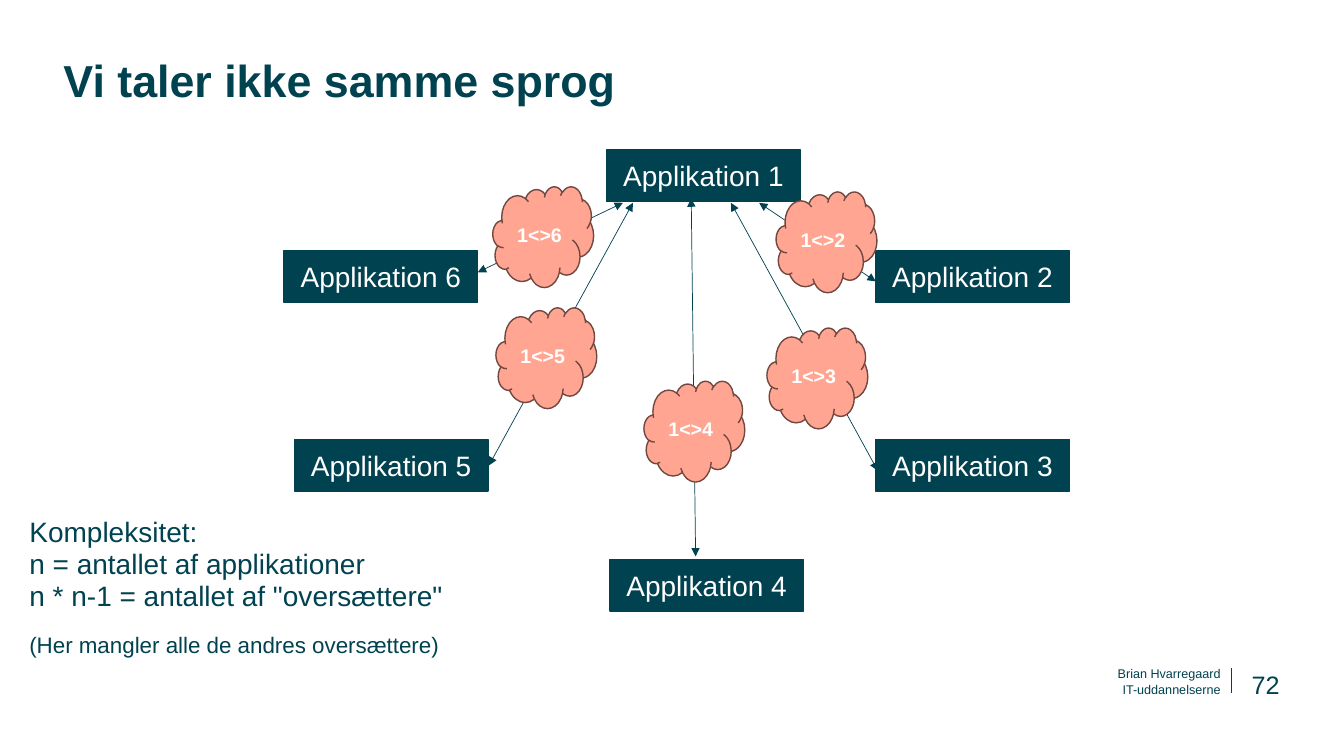
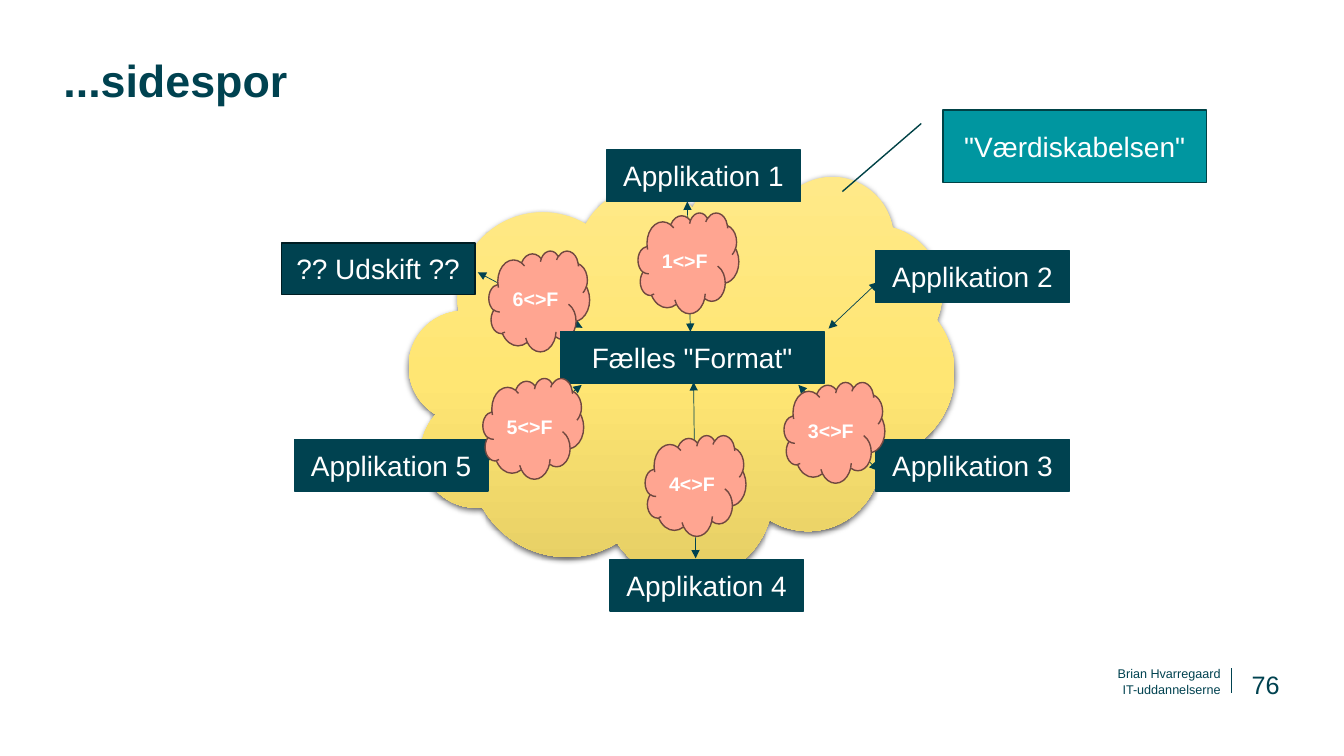
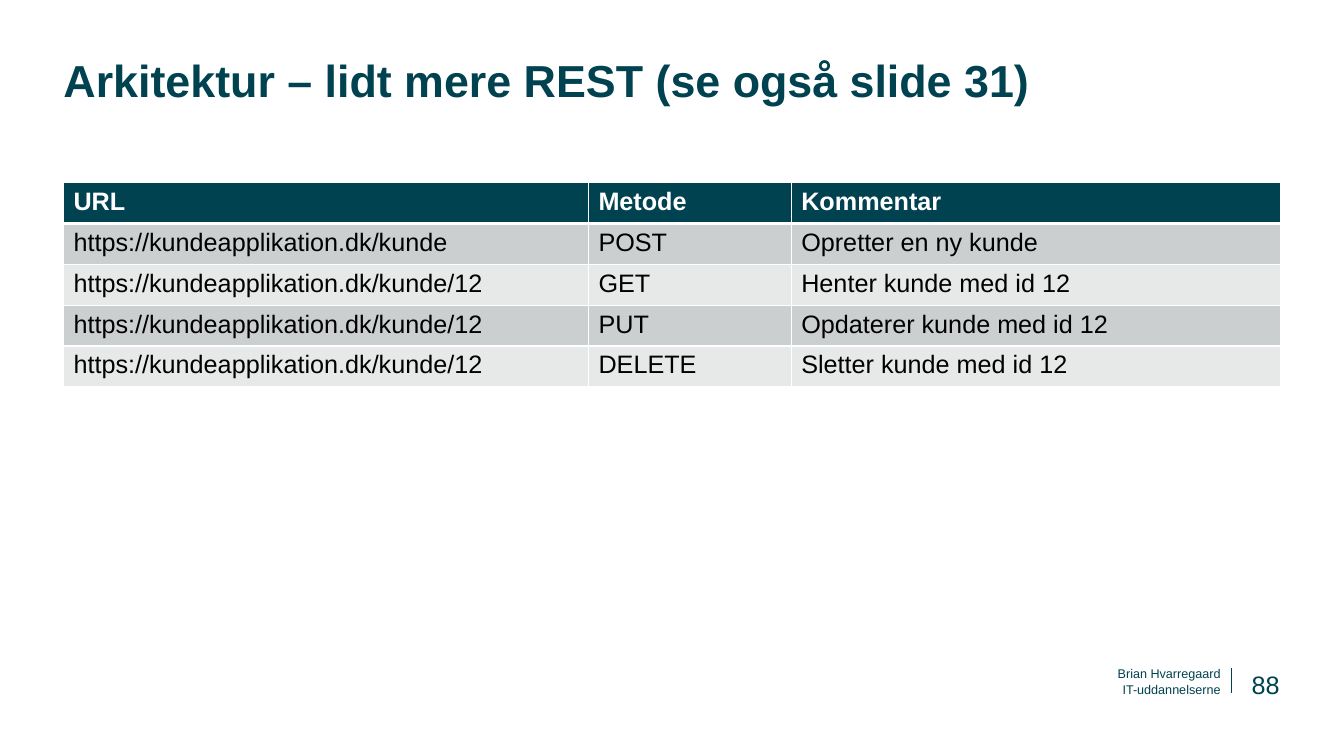
from pptx import Presentation
from pptx.dml.color import RGBColor
from pptx.enum.shapes import MSO_CONNECTOR, MSO_SHAPE
from pptx.enum.text import MSO_ANCHOR, PP_ALIGN
from pptx.oxml import parse_xml
from pptx.oxml.ns import nsdecls, qn
from pptx.util import Cm, Pt

RECT, CLOUD, CALLOUT = MSO_SHAPE.RECTANGLE, MSO_SHAPE.CLOUD, MSO_SHAPE.LINE_CALLOUT_1
STRAIGHT = MSO_CONNECTOR.STRAIGHT
TOP, MIDDLE, BOTTOM = MSO_ANCHOR.TOP, MSO_ANCHOR.MIDDLE, MSO_ANCHOR.BOTTOM
LEFT, CENTER, RIGHT = PP_ALIGN.LEFT, PP_ALIGN.CENTER, PP_ALIGN.RIGHT

# Colours
PETROL = RGBColor(0x00, 0x42, 0x50)
NIGHT = RGBColor(0x00, 0x1D, 0x23)
TEAL = RGBColor(0x00, 0x96, 0xA0)
PINE = RGBColor(0x00, 0x42, 0x46)
CORAL = RGBColor(0xFF, 0xA5, 0x91)
BROWN = RGBColor(0x70, 0x48, 0x40)
WHITE = RGBColor(0xFF, 0xFF, 0xFF)
BLACK = RGBColor(0x00, 0x00, 0x00)
BANDS = [RGBColor(0xE7, 0xE9, 0xE9), RGBColor(0xCC, 0xCF, 0xD0)]

# Text styles: font, paragraph and frame values
STYLES = {
    "title": ({"size": Pt(32), "bold": True}, PETROL, {"line_spacing": 0.88}, TOP),
    "foot": ({"size": Pt(9)}, PETROL, {"alignment": RIGHT}, BOTTOM),
    "page": ({"size": Pt(18)}, PETROL, {"alignment": RIGHT}, BOTTOM),
    "note": ({"size": Pt(20)}, PETROL, {"line_spacing": 0.95, "space_after": Pt(14.2)}, TOP),
    "app": ({"size": Pt(20)}, WHITE, {"alignment": CENTER}, MIDDLE),
    "cloud": ({"size": Pt(14), "bold": True}, WHITE, {"alignment": CENTER}, MIDDLE),
}


def put(slide, at, text, style, kind=None, fill=None, edge=None):
    """Add a text box, or a filled shape when a kind is given."""
    at = [Cm(v) for v in at]
    if kind is None:
        shape, pads = slide.shapes.add_textbox(*at), (0, 0)
    else:
        shape, pads = slide.shapes.add_shape(kind, *at), (0.2, 0.1)
        shape.shadow.inherit = False
        shape.fill.solid()
        shape.fill.fore_color.rgb = fill
        shape.line.color.rgb = edge
        shape.line.width = Pt(1)
    font, color, para, anchor = STYLES[style]
    frame = shape.text_frame
    frame.text = text
    frame.word_wrap = True
    frame.vertical_anchor = anchor
    frame.margin_left = frame.margin_right = Cm(pads[0])
    frame.margin_top = frame.margin_bottom = Cm(pads[1])
    for p in frame.paragraphs:
        for key, value in para.items():
            setattr(p, key, value)
        for run in p.runs:
            run.font.name = "Arial"
            run.font.color.rgb = color
            for key, value in font.items():
                setattr(run.font, key, value)
    return shape


def link(slide, ends, heads=True):
    """Add a thin line, with an arrowhead at both ends by default."""
    line = slide.shapes.add_connector(STRAIGHT, *[Cm(v) for v in ends])
    line.line.color.rgb = PETROL
    line.line.width = Pt(0.5)
    for tag in ("headEnd", "tailEnd") if heads else ():
        line.line._get_or_add_ln().append(
            parse_xml(f'<a:{tag} {nsdecls("a")} type="triangle"/>'))
    line._element.spPr.append(parse_xml(f'<a:effectLst {nsdecls("a")}/>'))


deck = Presentation()
deck.slide_width, deck.slide_height = Cm(33.87), Cm(19.05)

# Shared title, footer and page number
TITLES = [
    ("Vi taler ikke samme sprog", "72"),
    ("...sidespor", "76"),
    ("Arkitektur – lidt mere REST (se også slide 31)", "88"),
]
slides = []
for title, page in TITLES:
    slide = deck.slides.add_slide(deck.slide_layouts[6])
    slides.append(slide)
    link(slide, (31.04, 16.84, 31.04, 17.45), heads=False)
    put(slide, (20.09, 16.74, 10.67, 0.41), "Brian Hvarregaard", "foot")
    put(slide, (20.09, 17.15, 10.67, 0.41), "IT-uddannelserne", "foot")
    put(slide, (1.6, 1.5, 30.68, 2.54), title, "title")
    put(slide, (31.06, 16.18, 1.19, 1.45), page, "page")
mesh, hub, rest = slides

# Value cloud behind the hub diagram
value = hub.shapes.add_shape(CLOUD, Cm(10.31), Cm(4.42), Cm(13.74), Cm(10.19))
value.shadow.inherit = False
value.line.fill.background()
stops = "".join(
    f'<a:gs pos="{pos}000"><a:srgbClr val="{tone}"/></a:gs>'
    for pos, tone in ((0, "FFE988"), (50, "FFE673"), (100, "E5CE64")))
props = value._element.spPr
props.insert(2, parse_xml(
    f'<a:gradFill {nsdecls("a")} rotWithShape="1"><a:gsLst>{stops}</a:gsLst>'
    '<a:lin ang="5400000" scaled="0"/></a:gradFill>'))
props.find(qn("a:effectLst")).append(parse_xml(
    f'<a:outerShdw {nsdecls("a")} blurRad="57150" dist="19050" dir="5400000"'
    ' algn="ctr" rotWithShape="0"><a:srgbClr val="000000">'
    '<a:alpha val="63000"/></a:srgbClr></a:outerShdw>'))

# Applications
APP = (4.88, 1.3)
SPOTS = {5: (7.42, 11.07), 4: (15.37, 14.1), 3: (22.07, 11.07),
         2: (22.07, 6.32), 1: (15.29, 3.78)}
put(mesh, (7.16, 6.32, *APP), "Applikation 6", "app", RECT, PETROL, PETROL)
put(hub, (7.09, 6.12, *APP), "?? Udskift ??", "app", RECT, PETROL, NIGHT)
for slide in (mesh, hub):
    for num, spot in SPOTS.items():
        put(slide, (*spot, *APP), f"Applikation {num}", "app", RECT, PETROL, PETROL)

# Arrows
LINKS = [
    (mesh, [(19.13, 5.11, 22.07, 7.09), (18.42, 5.11, 22.12, 11.86),
            (17.42, 5, 17.53, 14.02), (15.95, 5.11, 12.32, 11.73),
            (15.7, 5.11, 12.04, 6.86)]),
    (hub, [(20.88, 8.28, 22.12, 7.11), (20.12, 9.7, 22.12, 11.86),
           (17.48, 9.63, 17.53, 14.07), (17.32, 5.08, 17.4, 8.36),
           (14.68, 8.26, 12.04, 6.86), (14.66, 9.7, 12.27, 11.61)]),
]
for slide, lines in LINKS:
    for ends in lines:
        link(slide, ends)

# Translator clouds; the shared format lies below the last one
CLOUDS = [
    (mesh, "1<>2", 19.56, 4.83), (mesh, "1<>3", 19.33, 8.26),
    (mesh, "1<>4", 16.23, 9.6), (mesh, "1<>5", 12.5, 7.75),
    (mesh, "1<>6", 12.42, 4.7),
    (hub, "1<>F", 16.08, 5.36), (hub, "4<>F", 16.26, 10.97),
    (hub, "6<>F", 12.32, 6.32), (hub, "3<>F", 19.76, 9.63),
    (hub, "5<>F", 12.17, 9.53),
]
for slide, text, x, y in CLOUDS:
    if text == "5<>F":
        put(hub, (14.12, 8.36, 6.65, 1.3), 'Fælles "Format"', "app", RECT, PETROL, PETROL)
    put(slide, (x, y, 2.54, 2.54), text, "cloud", CLOUD, CORAL, BROWN)

# Complexity note and callout
note = put(mesh, (0.74, 13.03, 12.37, 3.58),
           'Kompleksitet:\vn = antallet af applikationer\v'
           'n * n-1 = antallet af "oversættere"\n'
           "(Her mangler alle de andres oversættere)", "note")
note.text_frame.paragraphs[1].runs[0].font.size = Pt(16)
put(hub, (23.77, 2.77, 6.63, 1.83), '"Værdiskabelsen"', "app", CALLOUT, TEAL, PINE)

# REST table
SITE = "https://kundeapplikation.dk/kunde"
ROWS = [
    ("URL", "Metode", "Kommentar"),
    (SITE, "POST", "Opretter en ny kunde"),
    (SITE + "/12", "GET", "Henter kunde med id 12"),
    (SITE + "/12", "PUT", "Opdaterer kunde med id 12"),
    (SITE + "/12", "DELETE", "Sletter kunde med id 12"),
]
WIDTHS = (13.23, 5.11, 12.34)
HIGH = 1.03
table = rest.shapes.add_table(len(ROWS), len(WIDTHS), Cm(1.6), Cm(4.6),
                              Cm(sum(WIDTHS)), Cm(HIGH * len(ROWS))).table
for col, width in zip(table.columns, WIDTHS):
    col.width = Cm(width)
for r, row in enumerate(ROWS):
    table.rows[r].height = Cm(HIGH)
    for c, text in enumerate(row):
        cell = table.cell(r, c)
        props = cell._tc.get_or_add_tcPr()
        for side in ("L", "R", "T", "B"):
            thick = 3 if (r, side) in ((0, "B"), (1, "T")) else 1
            props.append(parse_xml(
                f'<a:ln{side} {nsdecls("a")} w="{Pt(thick)}"><a:solidFill>'
                f'<a:srgbClr val="{WHITE}"/></a:solidFill></a:ln{side}>'))
        cell.fill.solid()
        cell.fill.fore_color.rgb = BANDS[r % 2] if r else PETROL
        cell.text = text
        font = cell.text_frame.paragraphs[0].runs[0].font
        font.color.rgb = BLACK if r else WHITE
        for key, value in {"name": "Arial", "size": Pt(18), "bold": r == 0}.items():
            setattr(font, key, value)

deck.save("out.pptx")
